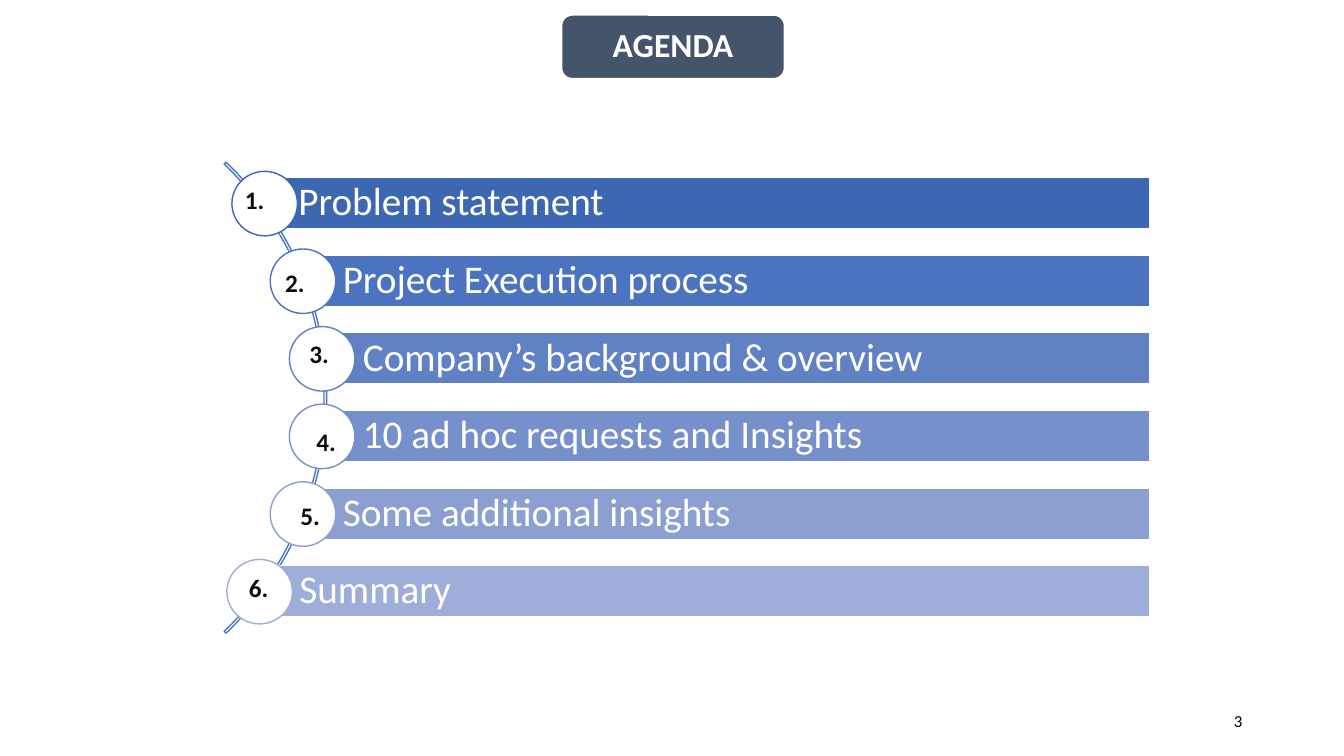
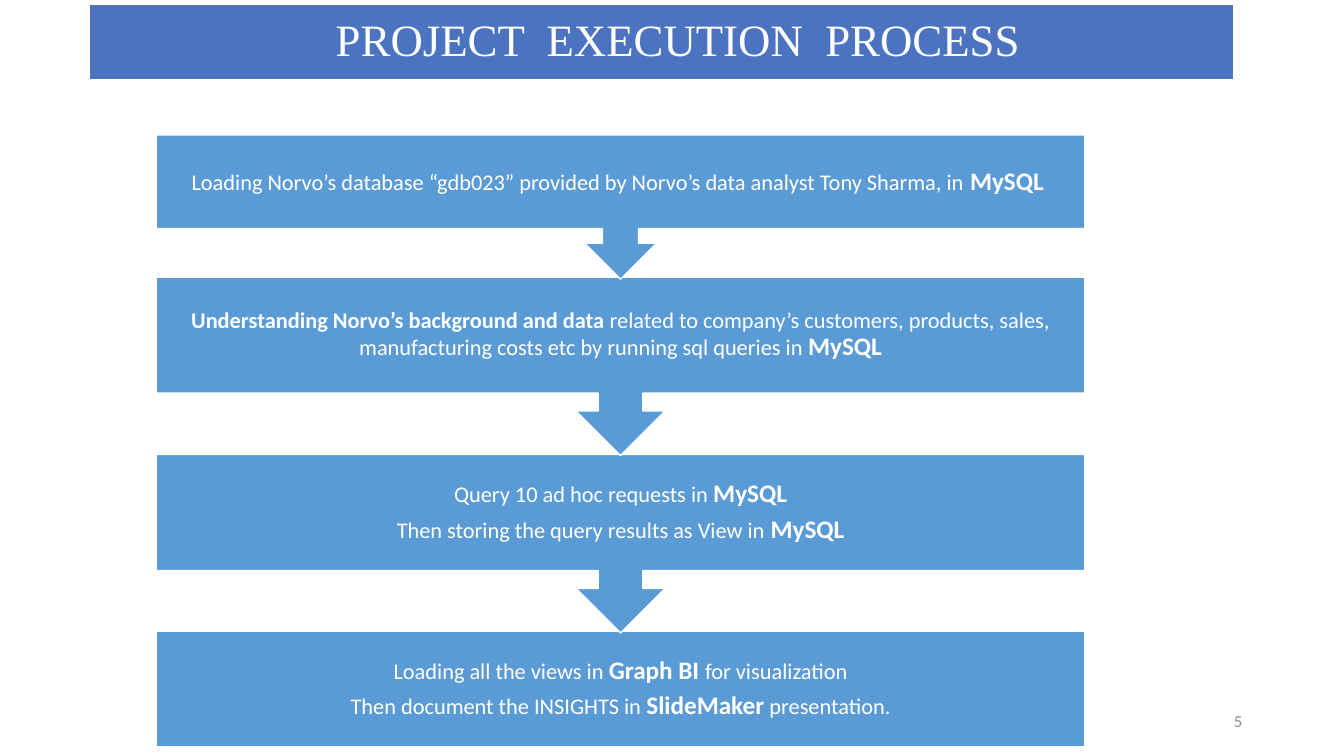
"""Build the agenda slide and the project process slide."""
from pptx import Presentation
from pptx.dml.color import RGBColor
from pptx.enum.shapes import MSO_SHAPE as SHAPE
from pptx.enum.text import MSO_ANCHOR as ANCHOR, MSO_AUTO_SIZE as AUTO, PP_ALIGN as ALIGN
from pptx.util import Inches, Pt

COLORS = {
    "white": "FFFFFF", "ink": "0D0D0D", "black": "000000", "gray": "8C8C8C",
    "slate": "44546A", "band": "4C73BF", "arc": "4A75C5", "step": "5B9BD5",
    "row1": "3E67B2", "row2": "4C73BF", "row3": "6181C5",
    "row4": "7690CB", "row5": "8B9FD1", "row6": "9FAED8",
}
STRONG = {"bold": True}
TOOL = {"size": 18, "bold": True}


def add_shape(slide, kind, box, fill, line="white"):
    sp = slide.shapes.add_shape(kind, *map(Inches, box))
    sp.shadow.inherit = False
    if fill:
        sp.fill.solid()
        sp.fill.fore_color.rgb = RGBColor.from_string(COLORS[fill])
    else:
        sp.fill.background()
    sp.line.color.rgb = RGBColor.from_string(COLORS[line])
    sp.line.width = Pt(1)
    return sp


def write(sp, paragraphs, size=16, color="white", bold=False, font="Calibri",
          align=ALIGN.LEFT, anchor=ANCHOR.MIDDLE, insets=(0.1, 0.05, 0.1, 0.05), spacing=0.9):
    tf = sp.text_frame
    tf.word_wrap = True
    tf.auto_size = AUTO.NONE
    tf.vertical_anchor = anchor
    tf.margin_left, tf.margin_top, tf.margin_right, tf.margin_bottom = map(Inches, insets)
    for i, runs in enumerate(paragraphs):
        p = tf.add_paragraph() if i else tf.paragraphs[0]
        p.alignment = align
        p.line_spacing = spacing
        p.space_before = Pt(6 if i else 0)
        for text, style in runs:
            r = p.add_run()
            r.text = text
            r.font.name = font
            r.font.size = Pt(style.get("size", size))
            r.font.bold = style.get("bold", bold)
            r.font.color.rgb = RGBColor.from_string(COLORS[color])


prs = Presentation()
prs.slide_width, prs.slide_height = Inches(13.33), Inches(7.5)

pages = [
    ("AGENDA", SHAPE.ROUNDED_RECTANGLE, (5.57, 0.15, 2.21, 0.63), "slate",
     {"size": 24, "bold": True, "insets": (0.1, 0.1, 0.1, 0.1)}, "3", "black"),
    ("PROJECT  EXECUTION  PROCESS", SHAPE.RECTANGLE, (0.89, 0.04, 11.35, 0.75), "band",
     {"size": 32, "font": "Times New Roman", "insets": (0.4, 0.08, 0.08, 0.08)}, "5", "gray"),
]
slides = []
for heading, kind, box, fill, style, number, number_color in pages:
    s = prs.slides.add_slide(prs.slide_layouts[5])
    add_shape(s, kind, box, fill)
    title = s.shapes.title
    title.left, title.top, title.width, title.height = map(Inches, box)
    s.shapes._spTree.append(title._element)
    write(title, [[(heading, {})]], align=ALIGN.CENTER, **style)
    page_number = s.shapes.add_textbox(*map(Inches, (9.42, 6.95, 3, 0.4)))
    write(page_number, [[(number, {})]], size=12, color=number_color,
          align=ALIGN.RIGHT, spacing=1)
    slides.append(s)
agenda, process = slides

arc = add_shape(agenda, SHAPE.BLOCK_ARC, (-3.43, 0.67, 6.67, 6.55), None, "arc")
for i, value in enumerate((189, 27, 0.004)):
    arc.adjustments[i] = value

topics = [
    ("Problem statement", 2.56, 2.3, (2.33, 1.78)),
    ("Project Execution process", 3, 2.68, (2.73, 2.6)),
    ("Company’s background & overview", 3.2, 2.87, (2.97, 3.31)),
    ("10 ad hoc requests and Insights", 3.2, 2.87, (3.04, 4.18)),
    ("Some additional insights", 3, 2.68, (2.88, 4.91)),
    ("Summary", 2.57, 2.25, (2.37, 5.63)),
]
BAR_RIGHT, ROW_TOP, ROW_PITCH = 11.4, 1.76, 0.77
for i, (topic, bar_left, circle_left, label_at) in enumerate(topics):
    top = ROW_TOP + i * ROW_PITCH
    color = f"row{i + 1}"
    bar = add_shape(agenda, SHAPE.RECTANGLE, (bar_left, top, BAR_RIGHT - bar_left, 0.51), color)
    write(bar, [[(topic, {})]], size=28, insets=(0.4, 0.08, 0.08, 0.08))
    add_shape(agenda, SHAPE.OVAL, (circle_left, top - 0.06, 0.65, 0.64), "white", color)
    label = agenda.shapes.add_textbox(*map(Inches, (*label_at, 0.5, 0.4)))
    write(label, [[(f"{i + 1}.", {})]], size=18, color="ink", bold=True,
          anchor=ANCHOR.TOP, spacing=1)

steps = [
    (SHAPE.DOWN_ARROW_CALLOUT, 1.34, 1.43, [
        [("Loading Norvo’s database “gdb023” provided by Norvo’s data analyst Tony Sharma, in", {}),
         (" MySQL ", TOOL)]]),
    (SHAPE.DOWN_ARROW_CALLOUT, 2.75, 1.77, [
        [("Understanding Norvo’s background and data ", STRONG),
         ("related to company’s customers, products, sales, manufacturing costs etc "
          "by running sql queries in ", {}),
         ("MySQL", TOOL)]]),
    (SHAPE.DOWN_ARROW_CALLOUT, 4.51, 1.77, [
        [("Query 10 ad hoc requests in ", {}), ("MySQL", TOOL)],
        [("Then storing the query results as View in", {}), (" MySQL", TOOL)]]),
    (SHAPE.RECTANGLE, 6.26, 1.15, [
        [("Loading all the views in ", {}), ("Graph BI ", TOOL), ("for visualization", {})],
        [("Then document the INSIGHTS in ", {}), ("SlideMaker", TOOL), (" presentation.", {})]]),
]
for kind, top, height, paragraphs in reversed(steps):
    step = add_shape(process, kind, (1.55, top, 9.21, height), "step")
    write(step, paragraphs, align=ALIGN.CENTER, insets=(0.12, 0.12, 0.12, 0.12))

prs.save("out.pptx")
